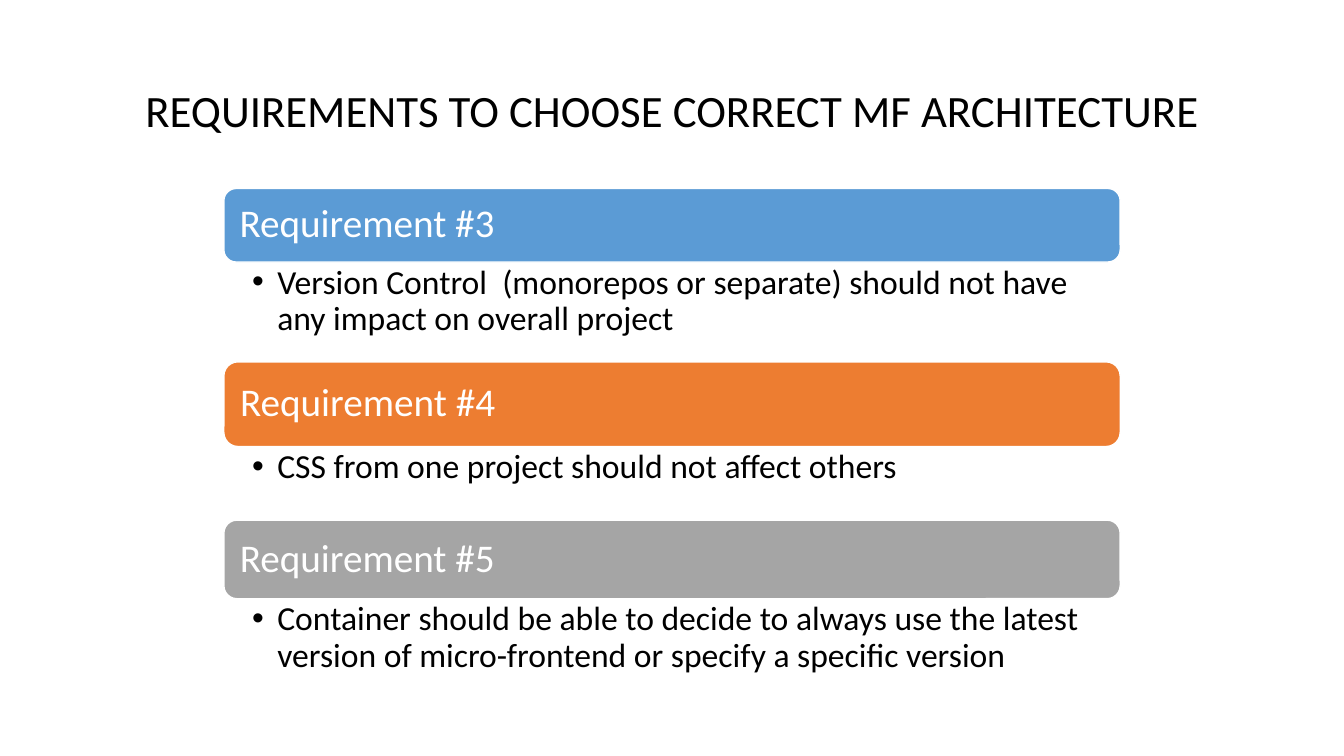
from pptx import Presentation
from pptx.dml.color import RGBColor
from pptx.enum.shapes import MSO_SHAPE
from pptx.enum.text import MSO_ANCHOR, MSO_AUTO_SIZE, PP_ALIGN
from pptx.oxml.ns import qn
from pptx.util import Inches, Pt
from lxml.etree import SubElement

COLORS = {
    "text": "000000",
    "white": "FFFFFF",
    "blue": "5B9BD5",
    "orange": "ED7D31",
    "gray": "A5A5A5",
}
FONT = "Calibri"
LEFT, WIDTH = 2.22, 8.89
REQUIREMENTS = [
    ("Requirement #3", "Version Control  (monorepos or separate) should not have any impact on overall project",
     "blue", 1.87, 0.73, 0.82, 0.24),
    ("Requirement #4", "CSS from one project should not affect others",
     "orange", 3.59, 0.84, 0.74, 0.19),
    ("Requirement #5", "Container should be able to decide to always use the latest version of micro-frontend or specify a specific version",
     "gray", 5.16, 0.78, 0.82, 0.19),
]


def color(name):
    return RGBColor.from_string(COLORS[name])


def set_insets(frame, left, top, right, bottom):
    frame.margin_left, frame.margin_top = Inches(left), Inches(top)
    frame.margin_right, frame.margin_bottom = Inches(right), Inches(bottom)


def format_paragraph(paragraph, size, color_name, align=PP_ALIGN.LEFT):
    paragraph.alignment = align
    paragraph.line_spacing = 0.9
    for run in paragraph.runs:
        run.font.name = FONT
        run.font.size = Pt(size)
        run.font.color.rgb = color(color_name)


def add_bullet(paragraph):
    properties = paragraph._p.get_or_add_pPr()
    properties.set("marL", str(Inches(0.25)))
    properties.set("indent", str(-Inches(0.25)))
    SubElement(properties, qn("a:buFont"), typeface="Arial")
    SubElement(properties, qn("a:buChar"), char="•")


def add_title(slide, left, top, width, height):
    title = slide.shapes.title
    title.left, title.top = Inches(left), Inches(top)
    title.width, title.height = Inches(width), Inches(height)
    frame = title.text_frame
    frame.text = "REQUIREMENTS TO CHOOSE CORRECT MF ARCHITECTURE"
    frame.vertical_anchor = MSO_ANCHOR.MIDDLE
    frame.auto_size = MSO_AUTO_SIZE.NONE
    format_paragraph(frame.paragraphs[0], 32, "text", PP_ALIGN.CENTER)


def add_heading(slide, heading, fill, left, top, width, height):
    bar = slide.shapes.add_shape(
        MSO_SHAPE.ROUNDED_RECTANGLE, Inches(left), Inches(top), Inches(width), Inches(height))
    bar.shadow.inherit = False
    bar.fill.solid()
    bar.fill.fore_color.rgb = color(fill)
    bar.line.color.rgb = color("white")
    bar.line.width = Pt(1)
    frame = bar.text_frame
    frame.text = heading
    frame.word_wrap = True
    frame.vertical_anchor = MSO_ANCHOR.MIDDLE
    set_insets(frame, 0.12, 0.12, 0.12, 0.12)
    format_paragraph(frame.paragraphs[0], 28, "white")


def add_detail(slide, detail, right_inset, left, top, width, height):
    box = slide.shapes.add_textbox(Inches(left), Inches(top), Inches(width), Inches(height))
    frame = box.text_frame
    frame.text = detail
    frame.word_wrap = True
    set_insets(frame, 0.28, 0.03, right_inset, 0.03)
    add_bullet(frame.paragraphs[0])
    format_paragraph(frame.paragraphs[0], 24, "text")


def add_requirement(slide, requirement):
    heading, detail, fill, top, bar_height, detail_height, right_inset = requirement
    add_heading(slide, heading, fill, LEFT, top, WIDTH, bar_height)
    add_detail(slide, detail, right_inset, LEFT, top + bar_height, WIDTH, detail_height)


def main():
    deck = Presentation()
    deck.slide_width, deck.slide_height = Inches(13.33), Inches(7.5)
    slide = deck.slides.add_slide(deck.slide_layouts[5])
    add_title(slide, 0.92, 0.4, 11.5, 1.45)
    for requirement in REQUIREMENTS:
        add_requirement(slide, requirement)
    deck.save("out.pptx")


if __name__ == "__main__":
    main()
